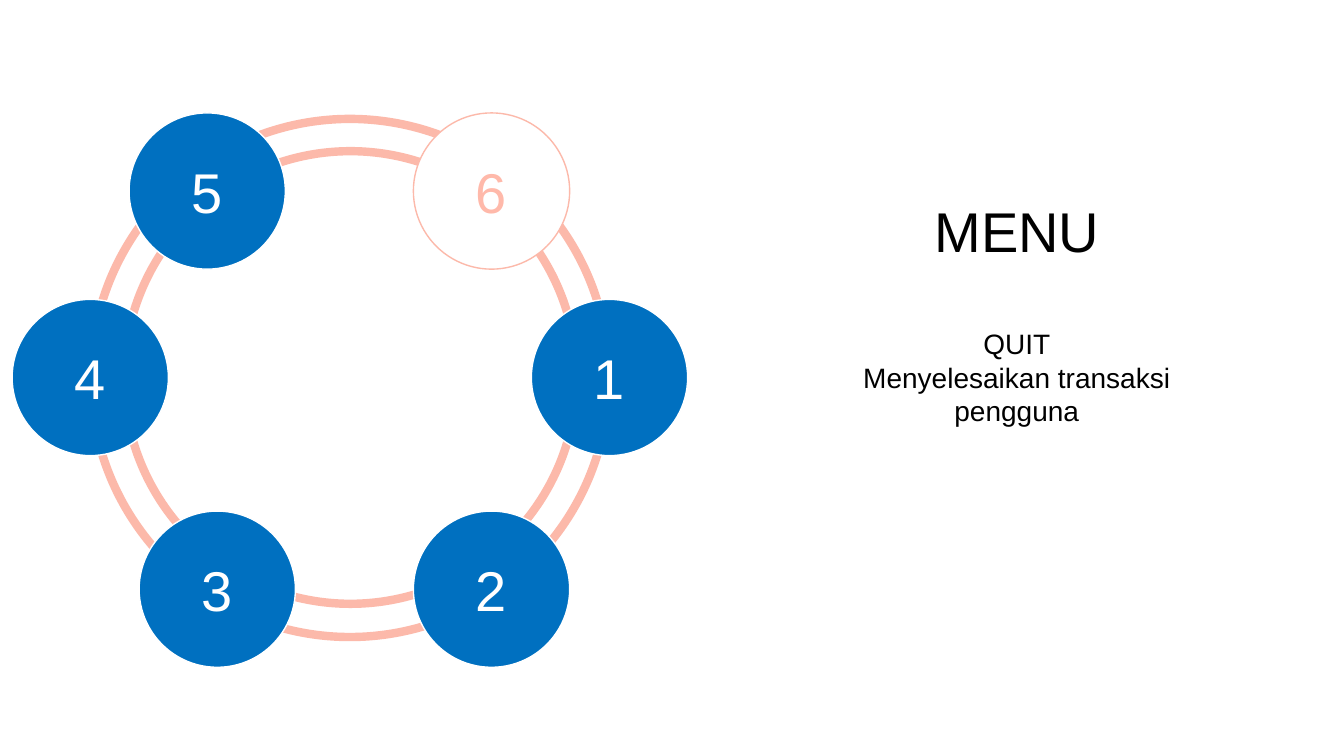
from pptx import Presentation
from pptx.dml.color import RGBColor
from pptx.enum.shapes import MSO_SHAPE
from pptx.enum.text import MSO_ANCHOR, MSO_AUTO_SIZE, PP_ALIGN
from pptx.util import Inches, Pt

COLORS = {"blue": "0070C0", "pink": "FCB9AA", "digit": "FFB9AA",
          "white": "FFFFFF", "black": "000000"}
DISC = 1.55
# Left and top of each disc, relative to the wheel's box
DISCS = {
    "1": (5.15, 1.85),
    "2": (3.98, 3.95),
    "6": (3.98, 0),
    "5": (1.16, 0),
    "4": (0, 1.85),
    "3": (1.26, 3.95),
}
ACTIVE = "6"


def color(name):
    return RGBColor.from_string(COLORS[name])


def write(frame, text, size, ink):
    frame.text = text
    for para in frame.paragraphs:
        para.alignment = PP_ALIGN.CENTER
        para.space_before = Pt(0)
        for run in para.runs:
            run.font.name = "Arial"
            run.font.size = Pt(size)
            run.font.color.rgb = color(ink)


def circle(slide, left, top, size, line, width, fill=None):
    shape = slide.shapes.add_shape(
        MSO_SHAPE.OVAL, Inches(left), Inches(top), Inches(size), Inches(size))
    shape.shadow.inherit = False
    if fill:
        shape.fill.solid()
        shape.fill.fore_color.rgb = color(fill)
    else:
        shape.fill.background()
    shape.line.color.rgb = color(line)
    shape.line.width = Pt(width)
    return shape


def wheel(slide, left, top):
    """Draw two rings with the numbered discs around them."""
    for inset, drop, size in ((1.11, 0.38, 4.49), (0.78, 0.06, 5.14)):
        circle(slide, left + inset, top + drop, size, "pink", 6)
    for label, (x, y) in DISCS.items():
        if label == ACTIVE:
            fill, line, ink = "white", "pink", "digit"
        else:
            fill, line, ink = "blue", "white", "white"
        disc = circle(slide, left + x, top + y, DISC, line, 1, fill)
        disc.text_frame.vertical_anchor = MSO_ANCHOR.MIDDLE
        write(disc.text_frame, label, 40, ink)


def place(holder, left, top, width, height, text, size):
    holder.left, holder.top = Inches(left), Inches(top)
    holder.width, holder.height = Inches(width), Inches(height)
    frame = holder.text_frame
    frame.word_wrap = True
    frame.auto_size = MSO_AUTO_SIZE.NONE
    frame.vertical_anchor = MSO_ANCHOR.TOP
    write(frame, text, size, "black")


def menu(slide, left, top, width):
    """Place the heading and the description, centred in the column."""
    head = 2.05
    place(slide.shapes.title, left + (width - head) / 2, top, head, 0.77,
          "MENU", 40)
    place(slide.placeholders[1], left, top + 1.29, width, 1.11,
          "QUIT\nMenyelesaikan transaksi pengguna", 20)


def main():
    deck = Presentation()
    deck.slide_width, deck.slide_height = Inches(13.33), Inches(7.5)
    slide = deck.slides.add_slide(deck.slide_layouts[0])
    wheel(slide, 0.12, 1.12)
    menu(slide, 8.23, 1.9, 3.71)
    deck.save("out.pptx")


if __name__ == "__main__":
    main()
